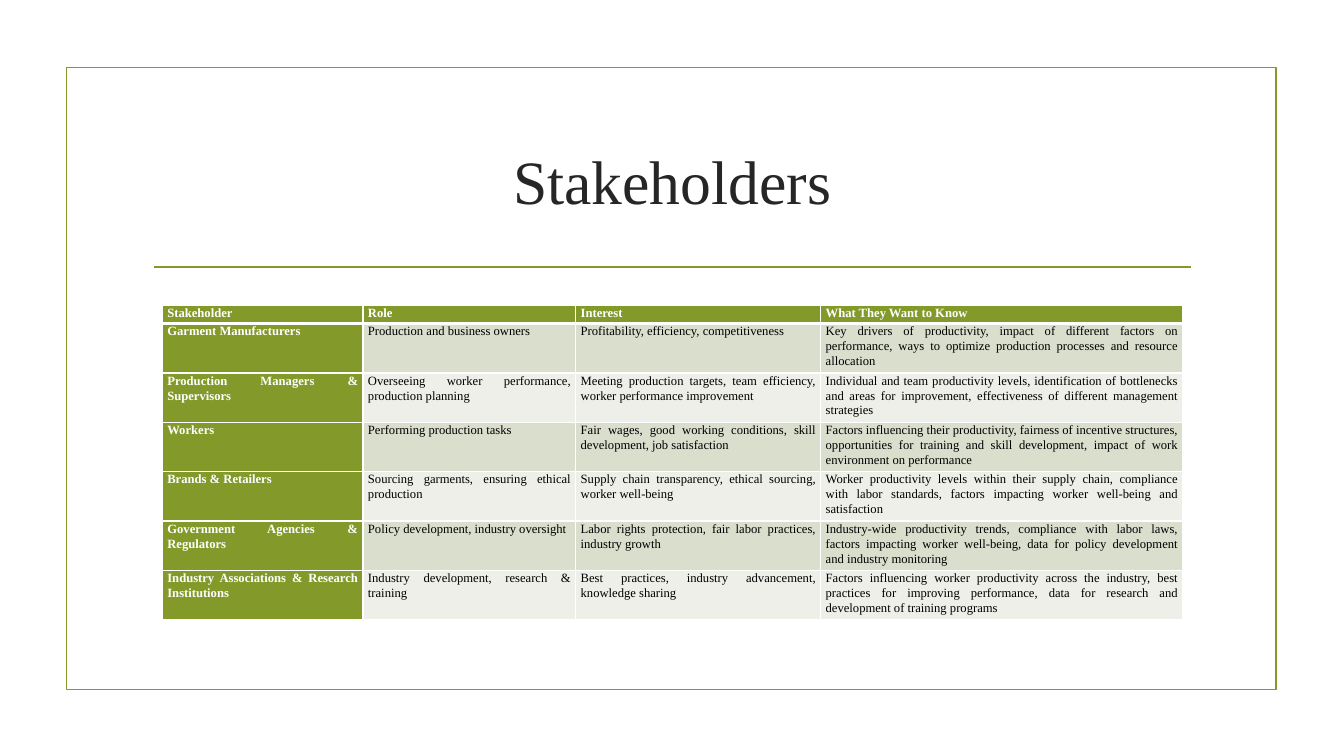
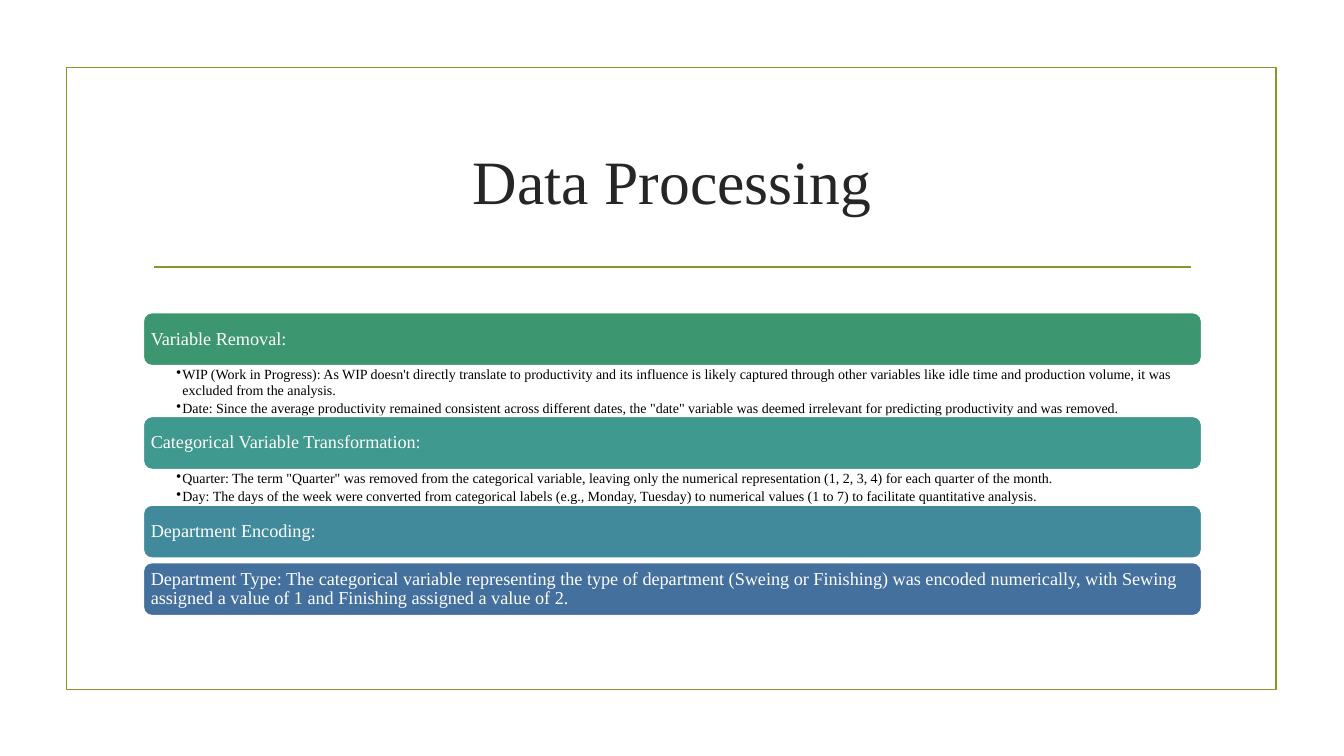
from dataclasses import dataclass

from lxml.etree import SubElement as sub
from pptx import Presentation as Deck
from pptx.dml.color import RGBColor as Rgb
from pptx.enum.shapes import MSO_CONNECTOR as Wire, MSO_SHAPE as Kind
from pptx.enum.text import MSO_ANCHOR as Anchor, PP_ALIGN as Align
from pptx.oxml.ns import qn
from pptx.slide import Slide
from pptx.util import Emu, Pt

SCALE = 9144


@dataclass(frozen=True)
class Theme:
    font: str = "Times New Roman"
    green: str = "83992A"
    dark: str = "262626"
    black: str = "000000"
    white: str = "FFFFFF"
    odd: str = "D9DECD"
    even: str = "EDEFE8"
    title: int = 44
    band: int = 13
    note: int = 10
    cell: int = 9
    line: float = 1.25


@dataclass(frozen=True)
class Box:
    left: int
    top: int
    width: int
    height: int

    def emu(self) -> list[Emu]:
        return [px(n) for n in (self.left, self.top, self.width, self.height)]


@dataclass(frozen=True)
class Band:
    text: str
    fill: str
    gap: int
    notes: tuple[str, ...] = ()


THEME = Theme()
FRAME = Box(66, 67, 1200, 617)
TITLE = Box(142, 107, 1050, 143)
RULE = Box(153, 265, 1028, 0)
GRID = Box(161, 303, 1012, 312)
COLS = (199, 211, 243, 359)
HEAD, ROW = 18, 49
BAND = Box(142, 310, 1050, 53)

ROWS = (
    ("Stakeholder", "Role", "Interest", "What They Want to Know"),
    ("Garment Manufacturers", "Production and business owners",
     "Profitability, efficiency, competitiveness",
     "Key drivers of productivity, impact of different factors on performance, "
     "ways to optimize production processes and resource allocation"),
    ("Production Managers & Supervisors",
     "Overseeing worker performance, production planning",
     "Meeting production targets, team efficiency, worker performance improvement",
     "Individual and team productivity levels, identification of bottlenecks and "
     "areas for improvement, effectiveness of different management strategies"),
    ("Workers", "Performing production tasks",
     "Fair wages, good working conditions, skill development, job satisfaction",
     "Factors influencing their productivity, fairness of incentive structures, "
     "opportunities for training and skill development, impact of work environment "
     "on performance"),
    ("Brands & Retailers", "Sourcing garments, ensuring ethical production",
     "Supply chain transparency, ethical sourcing, worker well-being",
     "Worker productivity levels within their supply chain, compliance with labor "
     "standards, factors impacting worker well-being and satisfaction"),
    ("Government Agencies & Regulators", "Policy development, industry oversight",
     "Labor rights protection, fair labor practices, industry growth",
     "Industry-wide productivity trends, compliance with labor laws, factors "
     "impacting worker well-being, data for policy development and industry "
     "monitoring"),
    ("Industry Associations & Research Institutions",
     "Industry development, research & training",
     "Best practices, industry advancement, knowledge sharing",
     "Factors influencing worker productivity across the industry, best practices "
     "for improving performance, data for research and development of training "
     "programs"),
)

BANDS = (
    Band("Variable Removal:", "3C9770", 50, (
        "WIP (Work in Progress): As WIP doesn't directly translate to productivity "
        "and its influence is likely captured through other variables like idle time "
        "and production volume, it was excluded from the analysis.",
        "Date: Since the average productivity remained consistent across different "
        'dates, the "date" variable was deemed irrelevant for predicting '
        "productivity and was removed.")),
    Band("Categorical Variable Transformation:", "3F998E", 35, (
        'Quarter: The term "Quarter" was removed from the categorical variable, '
        "leaving only the numerical representation (1, 2, 3, 4) for each quarter of "
        "the month.",
        "Day: The days of the week were converted from categorical labels (e.g., "
        "Monday, Tuesday) to numerical values (1 to 7) to facilitate quantitative "
        "analysis.")),
    Band("Department Encoding:", "418A9B", 4),
    Band("Department Type: The categorical variable representing the type of "
         "department (Sweing or Finishing) was encoded numerically, with Sewing "
         "assigned a value of 1 and Finishing assigned a value of 2.", "44709D", 0),
)


def px(count: int) -> Emu:
    return Emu(count * SCALE)


def style(part, size: int, tint: str, align=Align.LEFT, space: float = 1.0,
          after: float = 0, bold: bool = False) -> None:
    for para in part.paragraphs:
        para.alignment = align
        para.line_spacing = space
        para.space_after = Pt(after)
        for run in para.runs:
            font = run.font
            font.name, font.size, font.bold = THEME.font, Pt(size), bold
            font.color.rgb = Rgb.from_string(tint)


def inset(part, left: int, top: int, right: int, low: int) -> None:
    part.margin_left, part.margin_top = px(left), px(top)
    part.margin_right, part.margin_bottom = px(right), px(low)


def ink(line, tint: str) -> None:
    line.color.rgb = Rgb.from_string(tint)
    line.width = Pt(THEME.line)


def start(deck, title: str) -> Slide:
    slide = deck.slides.add_slide(deck.slide_layouts[6])
    frame = slide.shapes.add_shape(Kind.RECTANGLE, *FRAME.emu())
    frame.shadow.inherit = False
    frame.fill.background()
    ink(frame.line, THEME.green)

    left, top, width, height = RULE.emu()
    rule = slide.shapes.add_connector(
        Wire.STRAIGHT, left, top, left + width, top + height)
    ink(rule.line, THEME.green)
    sub(rule.line._get_or_add_ln().getparent(), qn("a:effectLst"))

    text = slide.shapes.add_textbox(*TITLE.emu()).text_frame
    text.word_wrap = True
    text.vertical_anchor = Anchor.MIDDLE
    text.text = title
    style(text, THEME.title, THEME.dark, Align.CENTER)
    return slide


def edge(cell, tag: str, width: int) -> None:
    line = sub(cell._tc.get_or_add_tcPr(), qn(f"a:{tag}"), w=str(Pt(width)))
    fill = sub(line, qn("a:solidFill"))
    sub(fill, qn("a:srgbClr"), val=THEME.white)


def draw_cell(cell, text: str, row: int, col: int) -> None:
    key = row == 0 or col == 0
    for tag in ("lnL", "lnR", "lnT", "lnB"):
        thick = (row, tag) in ((0, "lnB"), (1, "lnT"))
        edge(cell, tag, 3 if thick else 1)
    band = THEME.odd if row % 2 else THEME.even
    cell.fill.solid()
    cell.fill.fore_color.rgb = Rgb.from_string(THEME.green if key else band)
    inset(cell, 5, 0, 5, 0)
    cell.text_frame.text = text
    style(cell.text_frame, THEME.cell, THEME.white if key else THEME.black,
          Align.JUSTIFY, 1.07, bold=key)


def draw_grid(slide: Slide) -> None:
    grid = slide.shapes.add_table(len(ROWS), len(COLS), *GRID.emu()).table
    for col, width in zip(grid.columns, COLS):
        col.width = px(width)
    for r, texts in enumerate(ROWS):
        grid.rows[r].height = px(ROW if r else HEAD)
        for c, text in enumerate(texts):
            draw_cell(grid.cell(r, c), text, r, c)


def draw_notes(slide: Slide, notes: tuple[str, ...], box: Box) -> None:
    text = slide.shapes.add_textbox(*box.emu()).text_frame
    text.word_wrap = True
    inset(text, 33, 2, 10, 2)
    text.text = "\n".join(notes)
    style(text, THEME.note, THEME.black, space=0.9, after=2)
    for para in text.paragraphs:
        para.level = 1
        props = para._p.get_or_add_pPr()
        props.set("marL", str(px(6)))
        props.set("indent", str(px(-6)))
        sub(props, qn("a:buChar"), char="•")


def draw_bands(slide: Slide) -> None:
    top = BAND.top
    for band in BANDS:
        box = Box(BAND.left, top, BAND.width, BAND.height)
        shape = slide.shapes.add_shape(Kind.ROUNDED_RECTANGLE, *box.emu())
        shape.shadow.inherit = False
        shape.fill.solid()
        shape.fill.fore_color.rgb = Rgb.from_string(band.fill)
        ink(shape.line, THEME.white)
        text = shape.text_frame
        text.word_wrap = True
        text.vertical_anchor = Anchor.MIDDLE
        inset(text, 5, 5, 5, 5)
        text.text = band.text
        style(text, THEME.band, THEME.white, space=0.9)
        top += BAND.height
        if band.notes:
            draw_notes(slide, band.notes, Box(BAND.left, top, BAND.width, band.gap))
        top += band.gap


def main() -> None:
    deck = Deck()
    deck.slide_width, deck.slide_height = px(1333), px(750)
    draw_grid(start(deck, "Stakeholders"))
    draw_bands(start(deck, "Data Processing"))
    deck.save("out.pptx")


if __name__ == "__main__":
    main()
